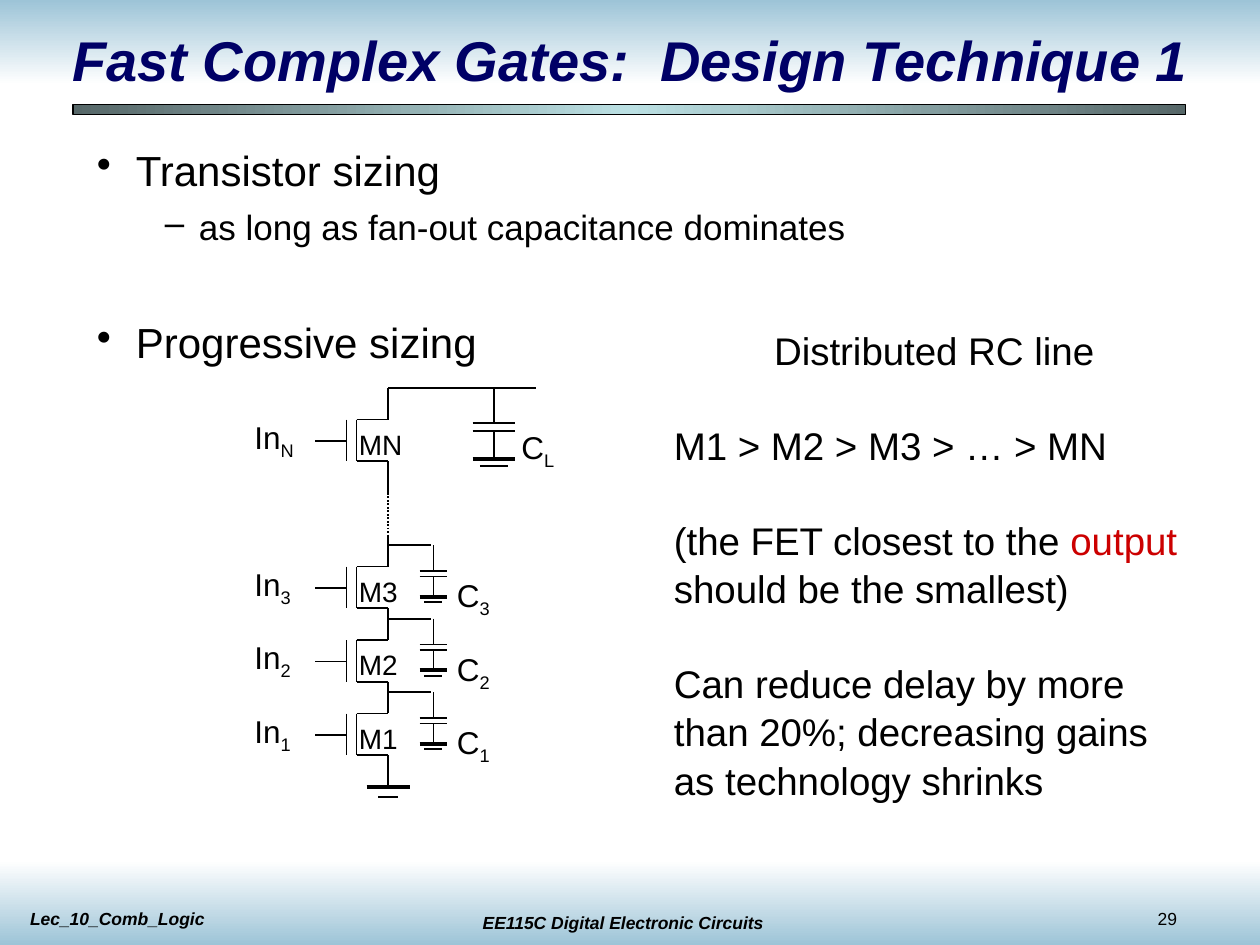
from copy import deepcopy

from lxml.etree import SubElement
from pptx import Presentation
from pptx.dml.color import RGBColor
from pptx.enum.dml import MSO_LINE
from pptx.enum.shapes import MSO_CONNECTOR, MSO_SHAPE
from pptx.enum.text import MSO_ANCHOR, PP_ALIGN
from pptx.oxml.ns import qn
from pptx.util import Inches, Pt

COLORS = {
    "black": "000000",
    "white": "FFFFFF",
    "title": "000066",
    "accent": "CC0000",
    "band": "9DC4D7",
    "rule_dark": "566768",
    "rule_light": "BBE0E3",
}
FONT = "Arial"
LINE_SPACING = 1.05
FOOTER = {"size": 10, "bold": True, "italic": True}
BODY = {"size": 24, "bullet": "•", "margin": 0.31, "indent": -0.31}
SUB_BODY = {"size": 20, "bullet": "–", "margin": 0.81, "indent": -0.27, "before": 5}
NOTE = {"size": 22}


def rgb(name):
    return RGBColor.from_string(COLORS[name])


class SlideBuilder:
    """Holds the current slide and draws each kind of element in its style."""

    def __init__(self, slide):
        self.slide = slide
        self.shapes = slide.shapes

    def gradient_box(self, left, top, width, height, colors, angle, outline=None):
        shape = self.shapes.add_shape(
            MSO_SHAPE.RECTANGLE, Inches(left), Inches(top), Inches(width), Inches(height))
        shape.shadow.inherit = False
        shape.fill.gradient()
        shape.fill.gradient_angle = angle
        stop_list = shape._element.spPr.find(qn("a:gradFill")).find(qn("a:gsLst"))
        while len(stop_list) < len(colors):
            stop_list.append(deepcopy(stop_list[0]))
        for index, stop in enumerate(shape.fill.gradient_stops):
            stop.color.rgb = rgb(colors[index])
            stop.position = index / (len(colors) - 1)
        if outline:
            shape.line.color.rgb = rgb(outline)
            shape.line.width = Pt(0.75)
        else:
            shape.line.fill.background()

    def line(self, x1, y1, x2, y2, width=1, dash=None):
        connector = self.shapes.add_connector(
            MSO_CONNECTOR.STRAIGHT, Inches(x1), Inches(y1), Inches(x2), Inches(y2))
        connector.line.color.rgb = rgb("black")
        connector.line.width = Pt(width)
        if dash:
            connector.line.dash_style = dash
        SubElement(connector._element.spPr, qn("a:effectLst"))

    def fill_paragraph(self, paragraph, runs, style):
        """Fill a paragraph with (text, run format) pairs."""
        if "bullet" in style:
            properties = paragraph._p.get_or_add_pPr()
            properties.set("marL", str(Inches(style["margin"])))
            properties.set("indent", str(Inches(style["indent"])))
            SubElement(properties, qn("a:buChar")).set("char", style["bullet"])
        paragraph.alignment = style.get("align", PP_ALIGN.LEFT)
        paragraph.line_spacing = LINE_SPACING
        paragraph.space_before = Pt(style.get("before", 0))
        for text, extra in runs:
            run = paragraph.add_run()
            run.text = text
            formats = {"name": FONT, "size": Pt(style["size"]),
                       "bold": style.get("bold", False),
                       "italic": style.get("italic", False)}
            for name, value in formats.items():
                setattr(run.font, name, value)
            run.font.color.rgb = rgb(extra.get("color", style.get("color", "black")))
            if "baseline" in extra:
                run._r.get_or_add_rPr().set("baseline", str(extra["baseline"]))

    def title(self, text, left, top, width, height, style):
        title = self.shapes.title
        box = {"left": left, "top": top, "width": width, "height": height}
        for name, value in box.items():
            setattr(title, name, Inches(value))
        title.text_frame.vertical_anchor = MSO_ANCHOR.MIDDLE
        self.fill_paragraph(title.text_frame.paragraphs[0], [(text, {})], style)
        self.shapes._spTree.append(title._element)  # above the header band

    def text(self, left, top, width, height, *paragraphs):
        """Each paragraph is (text or run list, style)."""
        box = self.shapes.add_textbox(
            Inches(left), Inches(top), Inches(width), Inches(height))
        frame = box.text_frame
        frame.word_wrap = True
        for index, (content, style) in enumerate(paragraphs):
            paragraph = frame.add_paragraph() if index else frame.paragraphs[0]
            runs = [(content, {})] if isinstance(content, str) else content
            self.fill_paragraph(paragraph, runs, style)

    def symbol(self, left, top, width, base, subscript):
        runs = [(base, {}), (subscript, {"baseline": -25000})]
        self.text(left, top, width, 0.44, (runs, {"size": 18}))

    def ground(self, x, y, half, inner, gap):
        self.line(x - half, y, x + half, y, 2.25)
        self.line(x - inner, y + gap, x + inner, y + gap)

    def transistor(self, x, top, name):
        """x is the drain and source column, top the drain level."""
        channel, gate, bottom = x - 0.25, x - 0.33, top + 0.33
        middle = top + 0.17
        self.line(channel, top, x, top)
        self.line(channel, top, channel, bottom)
        self.line(channel, bottom, x, bottom)
        self.line(gate, top, gate, bottom)
        self.line(x, bottom, x, bottom + 0.25)
        self.line(gate - 0.25, middle, gate, middle)
        self.symbol(x - 1.16, top - 0.08, 0.75, "In", name)
        self.text(gate, top, 0.67, 0.37, ("M" + name, {"size": 16}))

    def capacitor(self, x, top, half, scale, name):
        upper, lower, base = (top + scale * step for step in (0.28, 0.34, 0.56))
        self.line(x, top, x, upper)
        for plate in (upper, lower):
            self.line(x - half, plate, x + half, plate)
        self.line(x, lower, x, base)
        self.ground(x, base, half, half * 0.65, 0.06 * scale)
        self.symbol(x + 0.12 * scale, top + 0.25 * scale, 0.6, "C", name)


def main():
    presentation = Presentation()
    presentation.slide_width, presentation.slide_height = Inches(10), Inches(7.5)
    slide = presentation.slides.add_slide(presentation.slide_layouts[5])
    builder = SlideBuilder(slide)

    # Header and footer
    builder.gradient_box(0, 0, 10, 0.67, ["band", "white"], 270)
    builder.gradient_box(0, 6.83, 10, 0.67, ["white", "band"], 270)
    builder.gradient_box(0.58, 0.83, 8.83, 0.08,
                         ["rule_dark", "rule_light", "rule_dark"], 0, "black")
    builder.text(0.14, 7.15, 2.83, 0.27, ("Lec_10_Comb_Logic", FOOTER))
    builder.text(3.53, 7.18, 2.83, 0.27,
                 ("EE115C Digital Electronic Circuits", {**FOOTER, "align": PP_ALIGN.CENTER}))
    builder.text(9.09, 7.15, 0.83, 0.27, ("29", {"size": 10}))
    builder.title("Fast Complex Gates:  Design Technique 1", 0.17, 0.17, 9.67, 0.58,
                  {"size": 32, "bold": True, "italic": True, "color": "title",
                   "align": PP_ALIGN.CENTER})

    # Bullets
    builder.text(0.67, 1.08, 8.5, 1.87,
                 ("Transistor sizing", BODY),
                 ("as long as fan-out capacitance dominates", SUB_BODY),
                 ("Progressive sizing", {**BODY, "before": 38}))

    # Transistor stack, with one pitch left open for the omitted stages
    stack_x, output_y, pitch = 3.08, 3.08, 7 / 12
    first_top = output_y + 0.25
    for row, name in {0: "N", 2: "3", 3: "2", 4: "1"}.items():
        top = first_top + row * pitch
        builder.transistor(stack_x, top, name)
        if row:
            node = top - 0.17
            builder.line(stack_x, node, stack_x + 0.34, node)
            builder.capacitor(stack_x + 0.36, node, 0.11, 0.73, name)
    builder.ground(stack_x, first_top + 5 * pitch, 0.17, 0.08, 0.08)
    builder.line(stack_x, 3.83, stack_x, 4.25, dash=MSO_LINE.ROUND_DOT)
    builder.line(stack_x, 4.25, stack_x, 4.5)

    # Output node and load
    builder.line(stack_x, output_y, 4.25, output_y)
    builder.line(stack_x, output_y, stack_x, first_top)
    builder.capacitor(3.92, output_y, 0.17, 1, "L")

    # Explanation
    spaced_note = {**NOTE, "before": 26.5}
    builder.text(5.25, 2.53, 4.33, 2.3,
                 ("Distributed RC line", {**NOTE, "align": PP_ALIGN.CENTER}),
                 ("M1 > M2 > M3 > … > MN", spaced_note),
                 ([("(the FET closest to the ", {}), ("output", {"color": "accent"}),
                   (" should be the smallest)", {})], spaced_note))
    builder.text(5.25, 5.17, 4.08, 1.2,
                 ("Can reduce delay by more than 20%; decreasing gains as technology shrinks",
                  NOTE))

    presentation.save("out.pptx")


if __name__ == "__main__":
    main()
